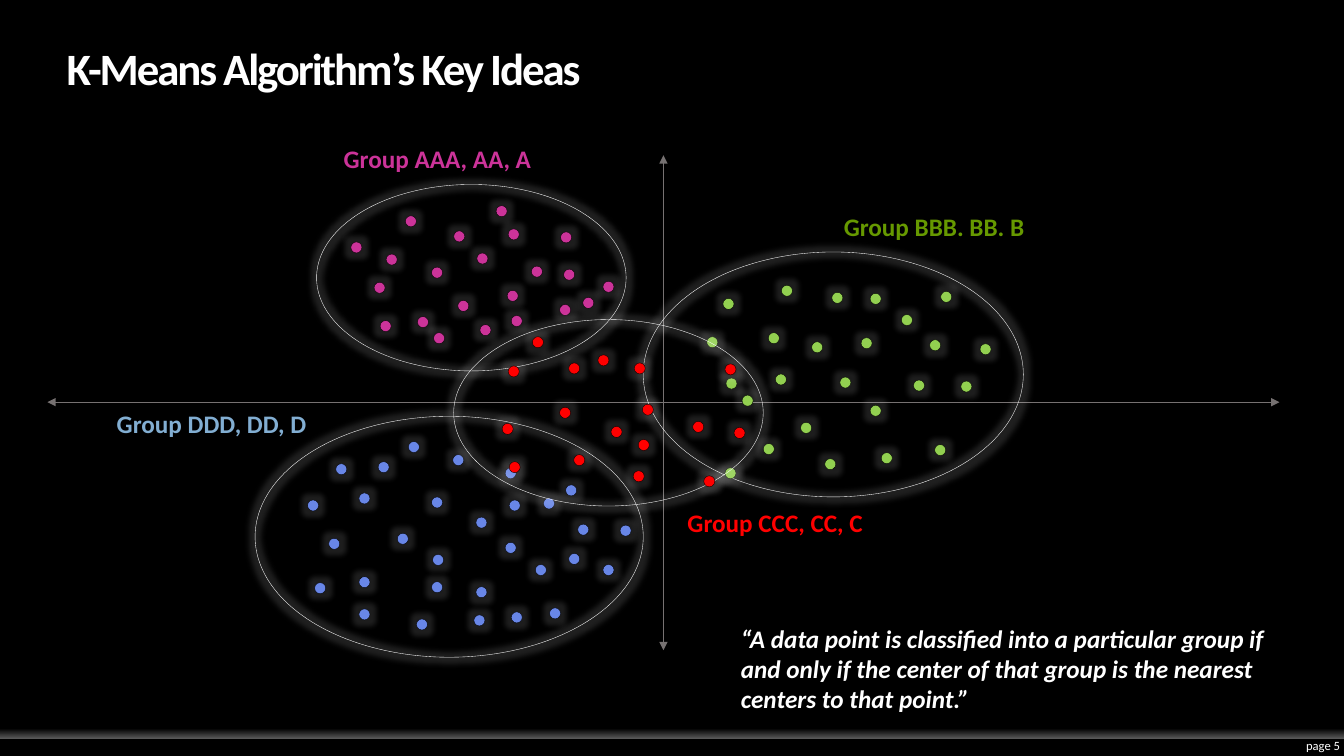
from lxml.etree import SubElement
from pptx import Presentation
from pptx.dml.color import RGBColor
from pptx.enum.shapes import MSO_CONNECTOR, MSO_SHAPE
from pptx.enum.text import MSO_ANCHOR, MSO_AUTO_SIZE, PP_ALIGN
from pptx.oxml.ns import qn
from pptx.util import Emu, Pt

# Content: lengths in px, 100 px to the inch
SCALE = 9144
WIDTH, HEIGHT = 1333, 750
FONT = "Calibri"
WHITE, BLACK, GREY = "FFFFFF", "000000", "767171"
DOT = 11
TITLE = "K-Means Algorithm’s Key Ideas"
QUOTE = ("“A data point is classified into a particular group if and only if "
         "the center of that group is the nearest centers to that point.”")
AXES = [(658, 154, 658, 645), (1269, 399, 47, 399)]

# Each group: label, label box, label colour, dot colour, ring box, dot corners
GROUPS = [
    ("Group AAA, AA, A", (331, 137, 224, 40), "CC3399", "CC3399", (314, 183, 307, 185), [
        (450, 229), (348, 240), (383, 252), (402, 214), (371, 280), (504, 227),
        (473, 251), (476, 322), (598, 279), (556, 230), (492, 204), (527, 264),
        (503, 288), (559, 267), (428, 265), (507, 313), (414, 314), (454, 298),
        (377, 318), (430, 330), (555, 302), (578, 295)]),
    ("Group BBB. BB. B", (827, 205, 215, 40), "669900", "92D050", (638, 250, 377, 243), [
        (854, 335), (762, 330), (863, 291), (775, 283), (701, 334), (769, 371),
        (805, 339), (794, 419), (906, 377), (720, 375), (874, 449), (736, 392),
        (825, 290), (833, 374), (719, 464), (757, 440), (927, 441), (922, 337),
        (953, 378), (894, 312), (717, 296), (972, 341), (933, 289), (863, 402),
        (818, 455)]),
    ("Group DDD, DD, D", (106, 400, 223, 40), "82AED2", "6886E7", (253, 413, 385, 239), [
        (356, 572), (428, 493), (305, 496), (375, 458), (449, 451), (326, 534),
        (356, 489), (394, 529), (405, 438), (561, 481), (507, 607), (501, 538),
        (615, 521), (539, 494), (333, 460), (428, 577), (470, 610), (472, 513),
        (312, 578), (545, 603), (429, 550), (472, 582), (356, 604), (413, 614),
        (505, 496), (501, 464), (573, 520), (564, 549), (531, 560), (598, 560)]),
    ("Group CCC, CC, C", (672, 498, 215, 40), "FF0000", "FF0000", (450, 317, 307, 185), [
        (593, 352), (633, 436), (555, 404), (629, 360), (606, 423), (628, 467),
        (569, 451), (498, 420), (719, 361), (728, 424), (687, 418), (637, 401),
        (698, 472), (505, 458), (528, 334), (504, 363), (564, 360)]),
]


def px(*vals):
    return [Emu(v * SCALE) for v in vals]


def color(hexa):
    return RGBColor.from_string(hexa)


def write(frame, text, size, hexa, bold=False, italic=False):
    run = frame.paragraphs[0].add_run()
    run.text = text
    font = run.font
    font.name, font.size, font.bold, font.italic = FONT, Pt(size), bold, italic
    font.color.rgb = color(hexa)
    return run


def flush(frame):
    frame.margin_left = frame.margin_right = frame.margin_top = frame.margin_bottom = 0
    frame.vertical_anchor = MSO_ANCHOR.MIDDLE


def label(parent, box, text, hexa, italic=False):
    frame = parent.add_textbox(*px(*box)).text_frame
    frame.word_wrap = True
    frame.auto_size = MSO_AUTO_SIZE.SHAPE_TO_FIT_TEXT
    write(frame, text, 18, hexa, True, italic)


def oval(parent, box, line, fill=None):
    shape = parent.add_shape(MSO_SHAPE.OVAL, *px(*box))
    shape.line.color.rgb = color(line)
    shape.line.width = Pt(0.25)
    if fill:
        shape.fill.solid()
        shape.fill.fore_color.rgb = color(fill)
    else:
        shape.fill.background()
    # Soft white glow
    shape.shadow.inherit = False
    effect = shape._element.spPr.find(qn("a:effectLst"))
    glow = SubElement(effect, qn("a:glow"), rad=str(Pt(8)))
    tint = SubElement(glow, qn("a:srgbClr"), val=WHITE)
    SubElement(tint, qn("a:alpha"), val="12000")


def axis(shapes, ends):
    line = shapes.add_connector(MSO_CONNECTOR.STRAIGHT, *px(*ends))
    line.line.color.rgb = color(GREY)
    line.line.width = Pt(0.25)
    for tag in ("a:headEnd", "a:tailEnd"):
        SubElement(line.line._get_or_add_ln(), qn(tag), type="triangle")
    SubElement(line._element.spPr, qn("a:effectLst"))


def main():
    deck = Presentation()
    deck.slide_width, deck.slide_height = px(WIDTH, HEIGHT)
    slide = deck.slides.add_slide(deck.slide_layouts[5])
    shapes = slide.shapes
    slide.background.fill.solid()
    slide.background.fill.fore_color.rgb = color(BLACK)

    # Footer bar
    bar = shapes.add_shape(MSO_SHAPE.RECTANGLE, *px(0, 716, WIDTH, 17))
    bar.shadow.inherit = False
    bar.line.fill.background()
    bar.fill.gradient()
    bar.fill.gradient_angle = 270
    for stop, (place, hexa) in zip(bar.fill.gradient_stops, [(0.4, BLACK), (1, "595959")]):
        stop.position = place
        stop.color.rgb = color(hexa)

    # Axes
    for ends in AXES:
        axis(shapes, ends)

    # Title
    title = shapes.title
    title.left, title.top, title.width, title.height = px(66, 47, 1091, 47)
    flush(title.text_frame)
    head = title.text_frame.paragraphs[0]
    head.alignment, head.line_spacing = PP_ALIGN.LEFT, 0.9
    run = write(title.text_frame, TITLE, 32, WHITE, True)
    run.font._element.set("spc", "-150")

    # Page number
    page = shapes.add_textbox(*px(1269, 731, 60, 17)).text_frame
    page.word_wrap = True
    flush(page)
    page.paragraphs[0].alignment = PP_ALIGN.RIGHT
    write(page, "page 5", 9, WHITE)

    # Clusters
    for text, box, ink, fill, ring, dots in GROUPS:
        group = shapes.add_group_shape().shapes
        oval(group, ring, WHITE)
        for left, top in dots:
            oval(group, (left, top, DOT, DOT), BLACK, fill)
        label(group, box, text, ink)

    # Quote
    label(shapes, (725, 613, 580, 101), QUOTE, WHITE, True)
    deck.save("out.pptx")


if __name__ == "__main__":
    main()
